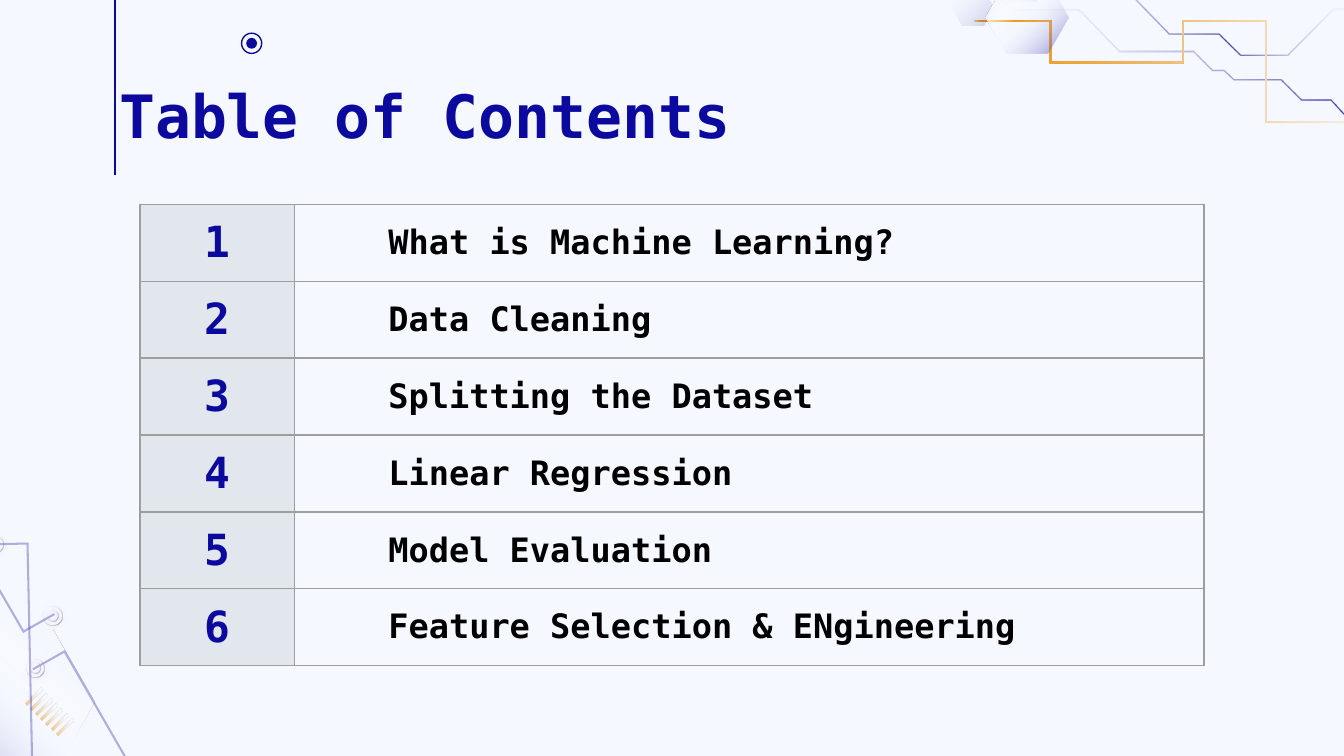
import math

from pptx import Presentation
from pptx.dml.color import RGBColor
from pptx.enum import shapes, text
from pptx.oxml import parse_xml
from pptx.oxml.ns import qn
from pptx.util import Pt

NAVY = RGBColor(0x0C, 0x0A, 0x9E)
ORANGE = RGBColor(0xEB, 0x91, 0x09)
PALE = RGBColor(0xF5, 0xF8, 0xFF)
WHITE = RGBColor(0xFF, 0xFF, 0xFF)
BLACK = RGBColor(0, 0, 0)
MIST = RGBColor(0xE1, 0xE7, 0xEC)
GREY = RGBColor(0x9E, 0x9E, 0x9E)
FONT = "DejaVu Sans Mono"
NS = 'xmlns:a="http://schemas.openxmlformats.org/drawingml/2006/main"'

TITLE = "Table of Contents"
TOPICS = ["What is Machine Learning?", "Data Cleaning", "Splitting the Dataset",
          "Linear Regression", "Model Evaluation", "Feature Selection & ENgineering"]

# Gradient stops: position %, colour, opacity %
HEX_GLOW = [(0, PALE, 100), (22, PALE, 100), (45, WHITE, 0), (100, NAVY, 50)]
HEX_FADE = [(0, NAVY, 20), (100, WHITE, 0)]
TRACE_FADE = [(0, WHITE, 0), (65, NAVY, 75), (100, WHITE, 0)]
GOLD = [(0, ORANGE, 100), (78, PALE, 100), (100, PALE, 100)]
PIN_GOLD = [(pos, color, 47) for pos, color, _ in GOLD]
RING_FADE = [(0, NAVY, 37), (100, WHITE, 0)]
WIRE = [(0, NAVY, 31)]

# Left, top, width, height, stops, angle
CORNER_HEXAGON = (-39.6, 337, 90, 77.8, HEX_GLOW, 135)
TOP_HEXAGONS = [(509.8, -5.8, 22.3, 19.4, HEX_FADE, 225),
                (527.8, -10, 44.6, 38.9, HEX_GLOW, 45)]
WIRES = [[(29.2, 329), (12.6, 338.4), (-54.4, 222.8)],
         [(-4.3, 291.6), (14.8, 291.2), (17.6, 424.8)],
         [(17.6, 358.6), (34.6, 349), (101.2, 464.8)]]
# Centre x, centre y, diameter
RINGS = [(28.1, 329.8, 10.4), (28.1, 329.8, 6.2), (-3.6, 291.6, 10.4),
         (18.7, 357.8, 10.4), (18.7, 357.8, 6.2)]
TRACES = [
    ([(518.4, 5.4), (578.2, 5.4), (599.8, 27.7), (639.4, 27.7), (649.4, 37.8),
      (655.6, 37.8), (661, 42.8), (686.2, 42.8), (697, 53.6), (712.8, 53.6),
      (720.7, 62.3), (761, 62.3), (791.3, 31.7), (826.6, 31.7)], TRACE_FADE),
    ([(522, 0.4), (554.8, 0.4), (561.6, -6.8), (601.9, -6.8), (626.4, 18),
      (653, 18), (664.6, 29.2), (689.8, 29.2), (714.2, 5), (732.2, 5)], TRACE_FADE),
    ([(522, 11.2), (562.7, 11.2), (562.7, 33.5), (633.6, 33.5), (633.6, 11.2),
      (678.2, 11.2), (678.2, 65.2), (720, 65.2), (733.7, 78.8), (806.4, 78.8)], GOLD),
]


def paint(sp, stops, angle=0):
    """Fill with one translucent colour or a linear gradient; no line or shadow."""
    colors = [f'<a:srgbClr val="{c}"><a:alpha val="{a * 1000}"/></a:srgbClr>'
              for _, c, a in stops]
    if len(stops) == 1:
        xml = f"<a:solidFill {NS}>{colors[0]}</a:solidFill>"
    else:
        gs = "".join(f'<a:gs pos="{stop[0] * 1000}">{c}</a:gs>'
                     for stop, c in zip(stops, colors))
        xml = (f'<a:gradFill {NS} rotWithShape="1"><a:gsLst>{gs}</a:gsLst>'
               f'<a:lin ang="{angle * 60000}" scaled="0"/></a:gradFill>')
    sp.fill.background()
    spPr = sp._element.spPr
    spPr.replace(spPr.find(qn("a:noFill")), parse_xml(xml))
    sp.line.fill.background()
    sp.shadow.inherit = False


def polygon(s, points, stops, angle=0):
    pts = [(Pt(x), Pt(y)) for x, y in points]
    builder = s.shapes.build_freeform(*pts[0], scale=1.0)
    builder.add_line_segments(pts[1:], close=True)
    paint(builder.convert_to_shape(), stops, angle)


def hexagon(s, x, y, w, h, stops, angle):
    q = w / 4
    polygon(s, [(x + q, y), (x, y + h / 2), (x + q, y + h), (x + w - q, y + h),
                (x + w, y + h / 2), (x + w - q, y)], stops, angle)


def ribbon(s, points, width, stops):
    """Draw a mitred band of the given width along a centre line."""
    normals = []
    for (x0, y0), (x1, y1) in zip(points, points[1:]):
        d = math.hypot(x1 - x0, y1 - y0)
        normals.append(((y0 - y1) / d, (x1 - x0) / d))
    left, right = [], []
    for (x, y), (ax, ay), (bx, by) in zip(points, normals[:1] + normals,
                                          normals + normals[-1:]):
        k = width / 2 / (1 + ax * bx + ay * by)
        dx, dy = (ax + bx) * k, (ay + by) * k
        left.append((x + dx, y + dy))
        right.append((x - dx, y - dy))
    polygon(s, left + right[::-1], stops)


def disc(s, kind, cx, cy, size):
    sp = s.shapes.add_shape(kind, Pt(cx - size / 2), Pt(cy - size / 2), Pt(size), Pt(size))
    sp.shadow.inherit = False
    return sp


def ring(s, cx, cy, size):
    sp = disc(s, shapes.MSO_SHAPE.DONUT, cx, cy, size)
    sp.adjustments[0] = 0.72 / size
    paint(sp, RING_FADE, 225)
    sp._element.spPr.find(qn("a:effectLst")).append(parse_xml(
        f'<a:outerShdw {NS} blurRad="{Pt(3.4)}" dist="{Pt(0.8)}" dir="6000000" '
        f'rotWithShape="0"><a:srgbClr val="{ORANGE}"><a:alpha val="38000"/>'
        '</a:srgbClr></a:outerShdw>'))


def write(tf, content, size, color, align=text.PP_ALIGN.LEFT):
    p = tf.paragraphs[0]
    p.alignment, p.line_spacing = align, 1.0
    r = p.add_run()
    r.text = content
    f = r.font
    f.name, f.size, f.bold, f.color.rgb = FONT, Pt(size), True, color


def border(cell):
    tcPr = cell._tc.get_or_add_tcPr()
    for i, side in enumerate("LRTB"):
        tcPr.insert(i, parse_xml(
            f'<a:ln{side} {NS} w="{Pt(0.75)}"><a:solidFill><a:srgbClr val="{GREY}"/>'
            f'</a:solidFill></a:ln{side}>'))


def add_decoration(s):
    hexagon(s, *CORNER_HEXAGON)
    for i in range(7):
        x, y = 13.7 + 2.75 * i, 368.6 + 2.75 * i
        polygon(s, [(x + 8, y), (x, y + 8), (x + 1, y + 9.2), (x + 9, y + 1.3)], PIN_GOLD)
    for wire in WIRES:
        ribbon(s, wire, 1.1, WIRE)
    for args in RINGS:
        ring(s, *args)
    for trace, stops in TRACES:
        ribbon(s, trace, 0.7, stops)
    for args in TOP_HEXAGONS:
        hexagon(s, *args)

    outer = disc(s, shapes.MSO_SHAPE.OVAL, 134.8, 23.2, 10.8)
    outer.fill.background()
    outer.line.color.rgb, outer.line.width = NAVY, Pt(0.75)
    paint(disc(s, shapes.MSO_SHAPE.OVAL, 134.8, 23.2, 5.8), [(0, NAVY, 100)])
    rule = s.shapes.add_connector(shapes.MSO_CONNECTOR.STRAIGHT,
                                  Pt(61.6), Pt(94), Pt(61.6), Pt(0))
    rule.line.color.rgb, rule.line.width = NAVY, Pt(0.8)
    rule._element.spPr.append(parse_xml(f"<a:effectLst {NS}/>"))


def add_contents(s):
    widths, row_height = (82.6, 487.4), 41.1
    table = s.shapes.add_table(len(TOPICS), 2, Pt(75), Pt(109.4), Pt(sum(widths)),
                               Pt(row_height * len(TOPICS))).table
    table.first_row = table.horz_banding = False
    for column, width in zip(table.columns, widths):
        column.width = Pt(width)
    for i, topic in enumerate(TOPICS):
        table.rows[i].height = Pt(row_height)
        number, name = table.cell(i, 0), table.cell(i, 1)
        for cell in (number, name):
            cell.vertical_anchor = text.MSO_ANCHOR.MIDDLE
            cell.margin_left = cell.margin_right = Pt(7.2)
            cell.margin_top = cell.margin_bottom = Pt(7.2)
        name.margin_left = Pt(50.5)
        number.fill.solid()
        number.fill.fore_color.rgb = MIST
        name.fill.background()
        write(number.text_frame, str(i + 1), 23, NAVY, text.PP_ALIGN.CENTER)
        write(name.text_frame, topic, 18, BLACK)
        border(number)
        border(name)


def add_title(s):
    sp = s.shapes.title
    sp.left, sp.top, sp.width, sp.height = Pt(56.6), Pt(34.9), Pt(607), Pt(45.4)
    tf = sp.text_frame
    tf.word_wrap, tf.auto_size = True, text.MSO_AUTO_SIZE.NONE
    tf.vertical_anchor = text.MSO_ANCHOR.TOP
    tf.margin_left = tf.margin_right = tf.margin_top = tf.margin_bottom = Pt(7.2)
    write(tf, TITLE, 32, NAVY)


def main():
    prs = Presentation()
    prs.slide_width, prs.slide_height = Pt(720), Pt(405)
    s = prs.slides.add_slide(prs.slide_layouts[5])
    s.background.fill.solid()
    s.background.fill.fore_color.rgb = PALE
    add_decoration(s)
    add_contents(s)
    add_title(s)
    prs.save("out.pptx")


if __name__ == "__main__":
    main()
